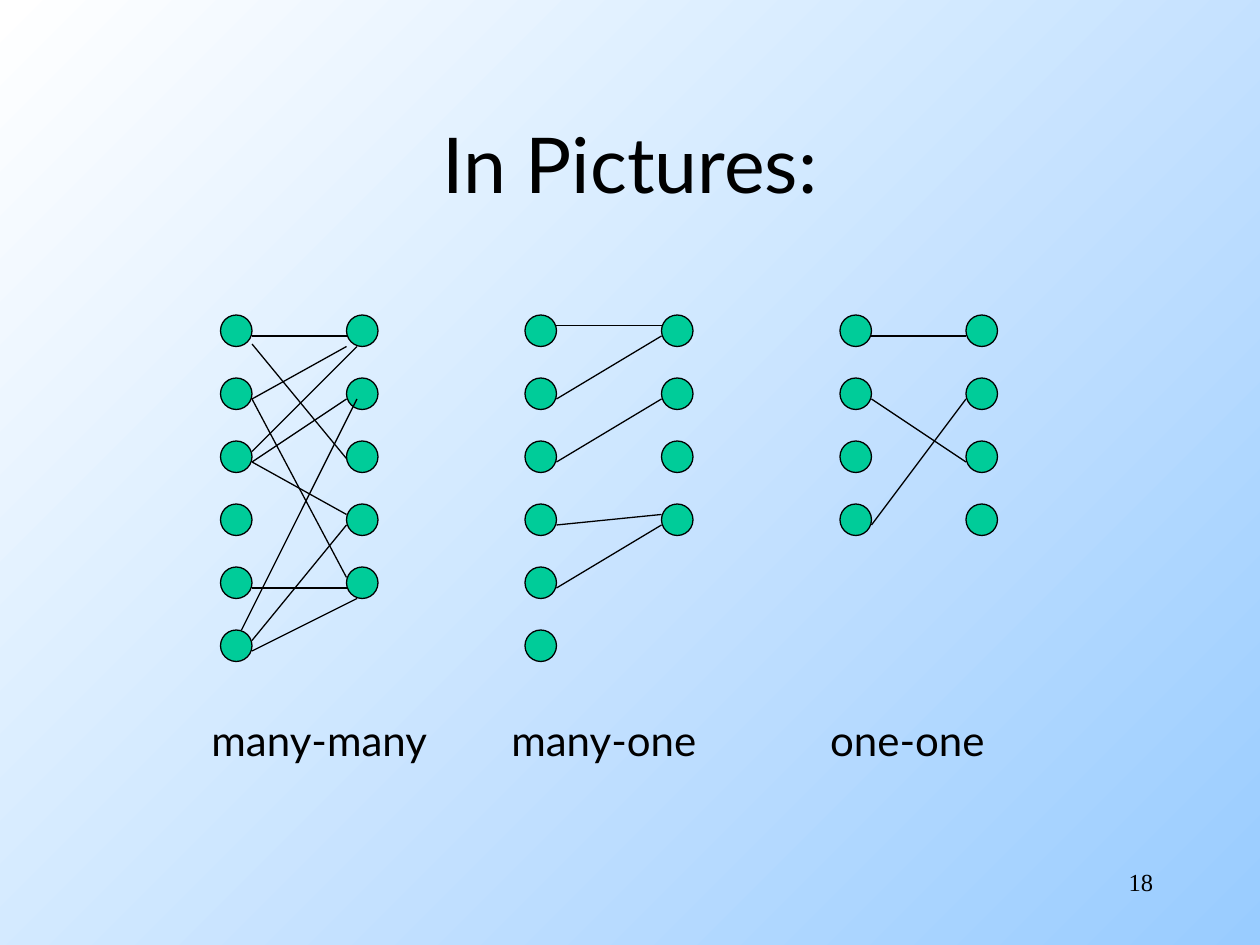
from lxml import etree
from pptx import Presentation
from pptx.dml.color import RGBColor
from pptx.enum.shapes import MSO_CONNECTOR, MSO_SHAPE
from pptx.enum.text import MSO_ANCHOR, PP_ALIGN
from pptx.oxml.ns import qn
from pptx.util import Inches, Pt

OVAL, STRAIGHT = MSO_SHAPE.OVAL, MSO_CONNECTOR.STRAIGHT
MIDDLE = MSO_ANCHOR.MIDDLE
LEFT, CENTER, RIGHT = PP_ALIGN.LEFT, PP_ALIGN.CENTER, PP_ALIGN.RIGHT

COLORS = {"ink": "000000", "node": "00CC99", "start": "FFFFFF", "end": "99CCFF"}
BODY_FONT, NUMBER_FONT = "Lato", "Times New Roman"

TITLE = "In Pictures:"
PAGE_NUMBER = "18"

# A link joins a left end to a right end.
# Each end is (row, drop below the top of the node, overlap into the node).
# Drops and columns follow a grid of twelfths of an inch.
HIGH, LOW, EDGE = 1 / 12, 2 / 12, 3 / 12
DIAGRAMS = [
    {
        "label": "many-many", "columns": (21 / 12, 33 / 12), "counts": (6, 5),
        "label_span": (1.58, 1.94), "wrap": False,
        "links": [
            ((0, 0.23, 0), (2, 0.14, 0)),
            ((0, LOW, 0), (0, LOW, 0)),
            ((1, LOW, 0), (0, EDGE, 0)),
            ((2, HIGH, 0), (0, EDGE, HIGH)),
            ((1, LOW, 0), (4, HIGH, 0)),
            ((4, LOW, 0), (4, LOW, 0)),
            ((5, LOW, 0), (4, EDGE, HIGH)),
            ((2, LOW, 0), (1, LOW, 0)),
            ((5, 0, HIGH), (1, LOW, HIGH)),
            ((5, HIGH, 0), (3, LOW, 0)),
            ((2, LOW, 0), (3, HIGH, 0)),
        ],
    },
    {
        "label": "many-one", "columns": (50 / 12, 63 / 12), "counts": (6, 4),
        "label_span": (3.96, 1.74), "wrap": True,
        "links": [
            ((0, HIGH, 0), (0, HIGH, 0)),
            ((1, LOW, 0), (0, LOW, 0)),
            ((2, LOW, 0), (1, LOW, 0)),
            ((4, LOW, 0), (3, LOW, 0)),
            ((3, LOW, 0), (3, HIGH, 0)),
        ],
    },
    {
        "label": "one-one", "columns": (80 / 12, 92 / 12), "counts": (4, 4),
        "label_span": (6.49, 1.6), "wrap": True,
        "links": [
            ((0, LOW, 0), (0, LOW, 0)),
            ((1, LOW, 0), (2, LOW, 0)),
            ((3, LOW, 0), (1, LOW, 0)),
        ],
    },
]
TOP, ROW_STEP, NODE_SIZE = 2.5, 0.5, 0.25
LABEL_TOP, LABEL_HEIGHT = 5.62, 0.5


def color(name):
    """Return the named colour."""
    return RGBColor.from_string(COLORS[name])


def write(frame, text, size, font, alignment):
    """Put one formatted run into a text frame."""
    paragraph = frame.paragraphs[0]
    paragraph.alignment = alignment
    run = paragraph.add_run()
    run.text = text
    run.font.size = Pt(size)
    run.font.name = font
    run.font.color.rgb = color("ink")


def add_text(slide, box, text, size, font, alignment=LEFT, wrap=True):
    """Add a text box."""
    frame = slide.shapes.add_textbox(*map(Inches, box)).text_frame
    frame.word_wrap = wrap
    write(frame, text, size, font, alignment)


def outline(shape):
    """Give a node or link its thin line."""
    shape.line.color.rgb = color("ink")
    shape.line.width = Pt(0.75)


def add_node(shapes, left, row):
    """Add one circle in a row of the grid."""
    box = (left, TOP + row * ROW_STEP, NODE_SIZE, NODE_SIZE)
    node = shapes.add_shape(OVAL, *map(Inches, box))
    node.shadow.inherit = False
    node.fill.solid()
    node.fill.fore_color.rgb = color("node")
    outline(node)


def add_link(shapes, columns, left_end, right_end):
    """Draw a line from a left node to a right node."""
    (row, drop, overlap), (to_row, to_drop, to_overlap) = left_end, right_end
    points = (
        columns[0] + NODE_SIZE - overlap, TOP + row * ROW_STEP + drop,
        columns[1] + to_overlap, TOP + to_row * ROW_STEP + to_drop,
    )
    link = shapes.add_connector(STRAIGHT, *map(Inches, points))
    outline(link)
    etree.SubElement(link._element.spPr, qn("a:effectLst"))


def add_diagram(slide, diagram):
    """Add a grouped mapping and its label."""
    group = slide.shapes.add_group_shape()
    for left, count in zip(diagram["columns"], diagram["counts"]):
        for row in range(count):
            add_node(group.shapes, left, row)
    for link in diagram["links"]:
        add_link(group.shapes, diagram["columns"], *link)
    left, width = diagram["label_span"]
    add_text(slide, (left, LABEL_TOP, width, LABEL_HEIGHT), diagram["label"],
             24, BODY_FONT, wrap=diagram["wrap"])


def set_background(slide):
    """Fill the background from the top left to the bottom right."""
    fill = slide.background.fill
    fill.gradient()
    fill.gradient_angle = 315
    for stop, name in zip(fill.gradient_stops, ("start", "end")):
        stop.color.rgb = color(name)


def set_title(slide):
    """Place and write the title."""
    title = slide.shapes.title
    title.left, title.top, title.width, title.height = map(
        Inches, (0.75, 0.67, 8.5, 1.25))
    title.text_frame.vertical_anchor = MIDDLE
    write(title.text_frame, TITLE, 44, BODY_FONT, CENTER)


presentation = Presentation()
presentation.slide_width, presentation.slide_height = Inches(10), Inches(7.5)
slide = presentation.slides.add_slide(presentation.slide_layouts[5])
set_background(slide)
set_title(slide)
for diagram in DIAGRAMS:
    add_diagram(slide, diagram)
add_text(slide, (7.17, 6.83, 2.08, 0.5), PAGE_NUMBER, 14, NUMBER_FONT, RIGHT)
presentation.save("out.pptx")
